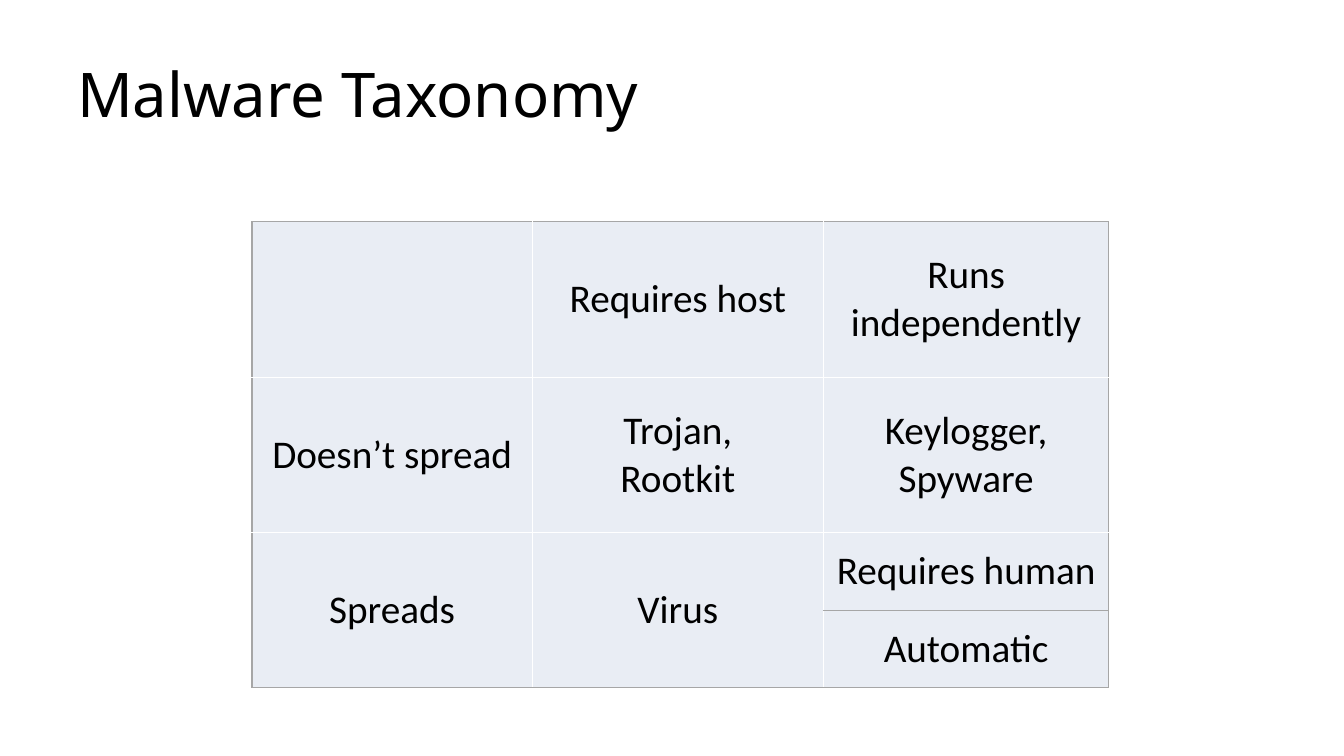
from lxml.etree import SubElement
from pptx import Presentation
from pptx.dml.color import RGBColor
from pptx.enum.text import MSO_ANCHOR as Anchor, PP_ALIGN as Align
from pptx.oxml.ns import qn
from pptx.util import Inches, Pt

BLACK = RGBColor(0x00, 0x00, 0x00)
WHITE = RGBColor(0xFF, 0xFF, 0xFF)
GREY = RGBColor(0xA6, 0xA6, 0xA6)
PALE_BLUE = RGBColor(0xE9, 0xED, 0xF4)

GRID_COLUMNS, GRID_ROWS = 160, 90

COLUMN_WIDTHS = [33.36, 34.68, 33.96]
ROW_HEIGHTS = [18.5, 18.5, 9.25, 9.25]
TAXONOMY = [
    ["", "Requires host", "Runs independently"],
    ["Doesn’t spread", "Trojan,\nRootkit", "Keylogger,\nSpyware"],
    ["Spreads", "Virus", "Requires human"],
    ["", "", "Automatic"],
]
GREY_COLUMN_EDGES = {0, 3}
GREY_ROW_EDGES = {0, 3, 4}


class SlideBuilder:
    """Draws on one slide; lengths are in grid columns and rows."""
    title_font, title_size = "Noto Sans", Pt(44)
    body_font, body_size = "Calibri", Pt(28)

    def __init__(self, presentation):
        self.slide = presentation.slides.add_slide(presentation.slide_layouts[6])
        self.column = presentation.slide_width / GRID_COLUMNS
        self.row = presentation.slide_height / GRID_ROWS

    def box(self, left, top, width, height):
        return (round(left * self.column), round(top * self.row),
                round(width * self.column), round(height * self.row))

    def style(self, paragraph, name, size):
        paragraph.font.name = name
        paragraph.font.size = size
        paragraph.font.color.rgb = BLACK

    def title(self, text, *place):
        frame = self.slide.shapes.add_textbox(*self.box(*place)).text_frame
        frame.word_wrap = True
        frame.vertical_anchor = Anchor.MIDDLE
        frame.text = text
        self.style(frame.paragraphs[0], self.title_font, self.title_size)

    def border(self, cell, side, color):
        properties = cell._tc.get_or_add_tcPr()
        line = SubElement(properties, qn(f"a:ln{side}"), w=str(Pt(1)))
        fill = SubElement(line, qn("a:solidFill"))
        SubElement(fill, qn("a:srgbClr"), val=str(color))

    def cell(self, cell, text, row, column):
        for side, edge, grey_edges in (
            ("L", column, GREY_COLUMN_EDGES),
            ("R", column + 1, GREY_COLUMN_EDGES),
            ("T", row, GREY_ROW_EDGES),
            ("B", row + 1, GREY_ROW_EDGES),
        ):
            self.border(cell, side, GREY if edge in grey_edges else WHITE)
        cell.fill.solid()
        cell.fill.fore_color.rgb = PALE_BLUE
        cell.vertical_anchor = Anchor.MIDDLE
        cell.text = text
        for paragraph in cell.text_frame.paragraphs:
            paragraph.alignment = Align.CENTER
            self.style(paragraph, self.body_font, self.body_size)

    def table(self, rows, left, top, widths, heights):
        place = self.box(left, top, sum(widths), sum(heights))
        table = self.slide.shapes.add_table(
            len(heights), len(widths), *place).table
        table.first_row = table.horz_banding = False
        for column, width in zip(table.columns, widths):
            column.width = round(width * self.column)
        for row, height in zip(table.rows, heights):
            row.height = round(height * self.row)
        for row, texts in enumerate(rows):
            for column, text in enumerate(texts):
                self.cell(table.cell(row, column), text, row, column)
        return table


def main():
    presentation = Presentation()
    presentation.slide_width = Inches(13.33)
    presentation.slide_height = Inches(7.5)

    builder = SlideBuilder(presentation)
    table = builder.table(TAXONOMY, 30, 26.4, COLUMN_WIDTHS, ROW_HEIGHTS)
    for column in (0, 1):
        table.cell(2, column).merge(table.cell(3, column))
    builder.title("Malware Taxonomy", 8, 3.6, 144, 15)

    presentation.save("out.pptx")


if __name__ == "__main__":
    main()
